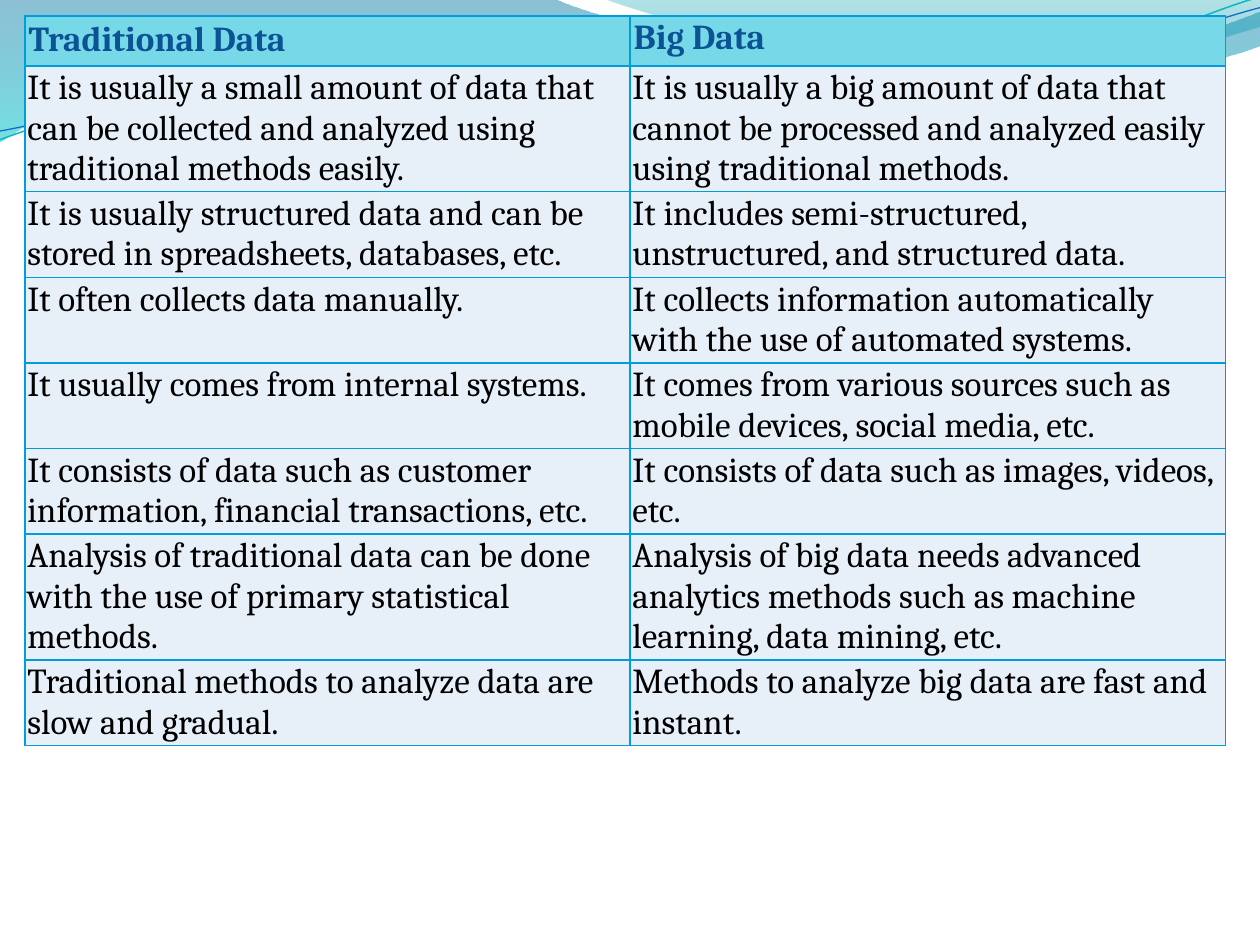
"""Build a slide comparing traditional data with big data in a two-column table."""
from lxml import etree
from pptx import Presentation
from pptx.dml.color import RGBColor
from pptx.oxml.ns import qn
from pptx.util import Pt

COLORS = {
    "header": "77D9E8", "body": "E7EFF8", "border": "009DD9",
    "heading": "0B5394", "text": "000000",
    "deep": "0074A1", "aqua": "00C6CF", "teal": "00A1A9", "sky": "008BBF",
    "teal_line": "0AB8BF", "blue_line": "0F6FC6",
}
BORDER_WIDTH = Pt(1)
ROWS = [
    ("Traditional Data", "Big Data", 28.4),
    ("It is usually a small amount of data that can be collected and analyzed using traditional methods easily.",
     "It is usually a big amount of data that cannot be processed and analyzed easily using traditional methods.",
     32.4),
    ("It is usually structured data and can be stored in spreadsheets, databases, etc.",
     "It includes semi-structured, unstructured, and structured data.", 25.2),
    ("It often collects data manually.",
     "It collects information automatically with the use of automated systems.", 25.2),
    ("It usually comes from internal systems.",
     "It comes from various sources such as mobile devices, social media, etc.", 25.2),
    ("It consists of data such as customer information, financial transactions, etc.",
     "It consists of data such as images, videos, etc.", 25.2),
    ("Analysis of traditional data can be done with the use of primary statistical methods.",
     "Analysis of big data needs advanced analytics methods such as machine learning, data mining, etc.",
     32.4),
    ("Traditional methods to analyze data are slow and gradual.",
     "Methods to analyze big data are fast and instant.", 18),
]
WAVES = [
    ([(0, 0), (316.8, -0.7), (342.7, 12.2, 478.1, 45.4, 545.8, 45.4),
      (614.2, 45.4, 689.8, 18.7, 720, 6.5), (720.7, 25.9),
      (707.8, 31.7, 626.4, 54.7, 537.1, 54), (447.8, 54, 275, 20.2, 185, 24.5),
      (92.9, 25.9, 33.1, 59.8, -0.7, 81.4), (0, 0)],
     [("deep", 0, 45), ("aqua", 1, 55)]),
    ([(344.9, -0.7), (366.5, 7.9, 491, 44.6, 553.7, 46.8),
      (616.3, 49.7, 691.9, 23, 720, 15.1), (720, 0), (344.9, -0.7)],
     [("teal", 0, 30), ("sky", 0.8, 45)]),
]
RIPPLES = [
    ([(-1.4, 62.9), (33.7, 51.6, 114, 29.4, 199.8, 29.9),
      (284.8, 30.3, 425.8, 67.2, 512.4, 64.9), (599, 62.4, 676.4, 25.7, 720.2, 15.6)],
     "teal_line", 0.85),
    ([(-1.2, 57.9), (33, 53.8, 118.3, 32.5, 204, 33),
      (290.5, 33.5, 428.9, 63.8, 515.5, 61.3), (601.3, 59.6, 678.5, 30.1, 721.4, 21.4)],
     "blue_line", 0.75),
]


def add_outline(shapes, segments, close):
    """Draw straight segments and cubic curves as one freeform."""
    places = [(Pt(x), Pt(y)) for segment in segments
              for x, y in zip(segment[::2], segment[1::2])]
    builder = shapes.build_freeform(*places[0])
    builder.add_line_segments(places[1:], close=close)
    outline = builder.convert_to_shape()
    outline.shadow.inherit = False
    steps = iter(list(outline._element.spPr.iter(qn("a:lnTo"))))
    for segment in segments[1:]:
        step = next(steps)
        if len(segment) == 6:
            step.tag = qn("a:cubicBezTo")
            for extra in (next(steps), next(steps)):
                step.append(extra[0])
                extra.getparent().remove(extra)
    return outline


def add_borders(cell):
    """Give a table cell the same border on all four sides."""
    properties = cell._tc.get_or_add_tcPr()
    for side in ("lnL", "lnR", "lnT", "lnB"):
        border = etree.SubElement(properties, qn(f"a:{side}"), w=str(BORDER_WIDTH))
        paint = etree.SubElement(border, qn("a:solidFill"))
        etree.SubElement(paint, qn("a:srgbClr"), val=COLORS["border"])


deck = Presentation()
deck.slide_width, deck.slide_height = Pt(720), Pt(540)
page = deck.slides.add_slide(deck.slide_layouts[6])

for segments, stops in WAVES:
    wave = add_outline(page.shapes, segments, True)
    wave.line.fill.background()
    wave.fill.gradient()
    wave.fill.gradient_angle = 270
    for stop, (name, position, opacity) in zip(wave.fill.gradient_stops, stops):
        stop.color.rgb = RGBColor.from_string(COLORS[name])
        stop.position = position
    for color, (name, position, opacity) in zip(wave._element.spPr.iter(qn("a:srgbClr")), stops):
        etree.SubElement(color, qn("a:alpha"), val=str(opacity * 1000))

ripple_group = page.shapes.add_group_shape()
for segments, name, width in RIPPLES:
    ripple = add_outline(ripple_group.shapes, segments, False)
    ripple.rotation = 357.3
    ripple.fill.background()
    ripple.line.color.rgb = RGBColor.from_string(COLORS[name])
    ripple.line.width = Pt(width)

frame = page.shapes.add_table(len(ROWS), 2, Pt(14.2), Pt(9.2), Pt(686), Pt(434.9))
table = frame.table
table.first_row = table.horz_banding = False
for column, width in zip(table.columns, (345.8, 340.2)):
    column.width = Pt(width)

for row_index, (*texts, height) in enumerate(ROWS):
    table.rows[row_index].height = Pt(height)
    is_header = row_index == 0
    for column_index, text in enumerate(texts):
        cell = table.cell(row_index, column_index)
        side = 2.1 if is_header else 1.4
        edge = (2.1, 1)[column_index] if is_header else 1.4
        margins = {"margin_left": side, "margin_right": side,
                   "margin_top": edge, "margin_bottom": edge}
        for key, value in margins.items():
            setattr(cell, key, Pt(value))
        add_borders(cell)
        cell.fill.solid()
        cell.fill.fore_color.rgb = RGBColor.from_string(COLORS["header" if is_header else "body"])
        span = cell.text_frame.paragraphs[0].add_run()
        span.text = text
        for key, value in {"name": "Cambria", "size": Pt(20), "bold": is_header}.items():
            setattr(span.font, key, value)
        span.font.color.rgb = RGBColor.from_string(COLORS["heading" if is_header else "text"])
frame.height = Pt(434.9)

deck.save("out.pptx")
